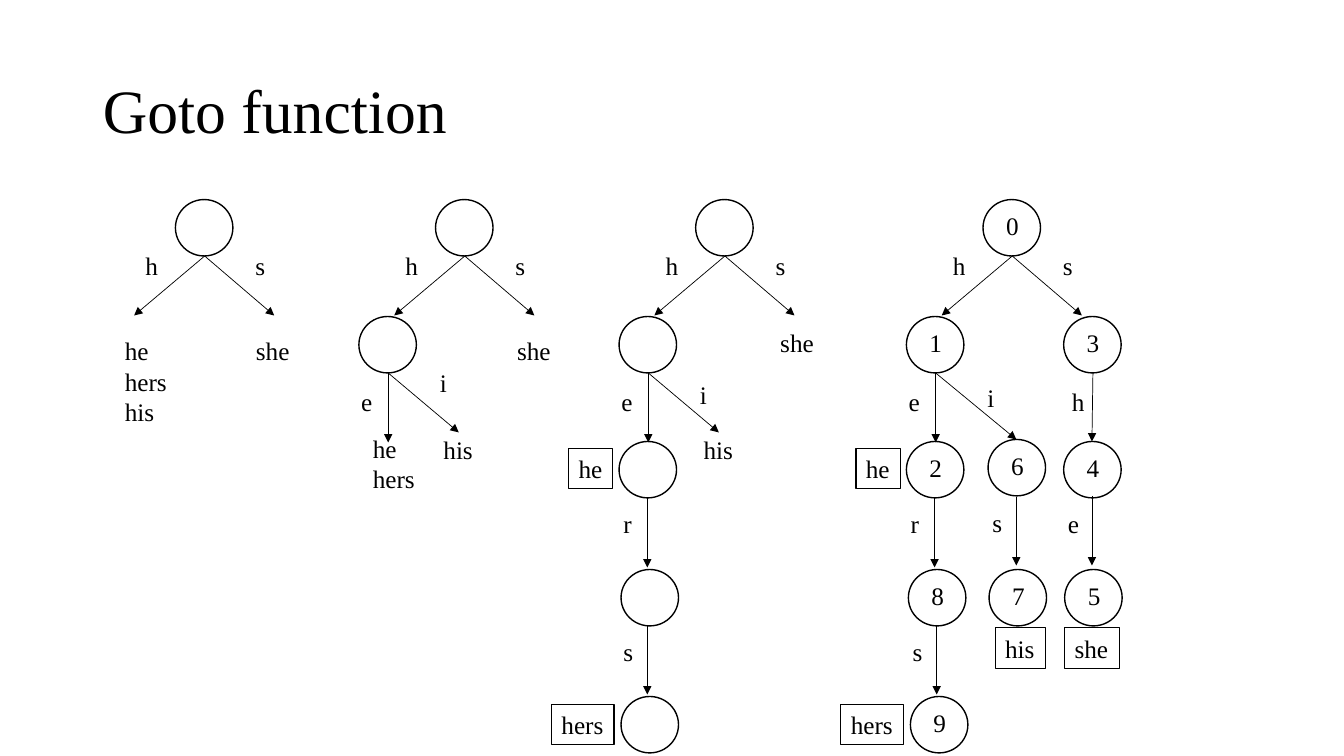
from lxml import etree
from pptx import Presentation
from pptx import util as u
from pptx.dml.color import RGBColor
from pptx.enum import shapes, text
from pptx.oxml.ns import qn

PX = 9144
BLACK = RGBColor(0, 0, 0)
WHITE = RGBColor(255, 255, 255)
FONT = "Times New Roman"


def px(*values):
    return [u.Emu(v * PX) for v in values]


class TrieSlide:
    def __init__(self, prs):
        self.s = prs.slides.add_slide(prs.slide_layouts[5])
        self.s.background.fill.solid()
        self.s.background.fill.fore_color.rgb = WHITE

    def font(self, p, size):
        p.font.name = FONT
        p.font.size = u.Pt(size)
        p.font.color.rgb = BLACK

    def title(self, words):
        sp = self.s.shapes.title
        sp.left, sp.top, sp.width, sp.height = px(92, 40, 1150, 145)
        tf = sp.text_frame
        tf.text = words
        tf.vertical_anchor = text.MSO_ANCHOR.MIDDLE
        p = tf.paragraphs[0]
        p.alignment = text.PP_ALIGN.LEFT
        p.line_spacing = 0.9
        self.font(p, 44)

    def label(self, words, x, y, w=19, h=40, wrap=True):
        sp = self.s.shapes.add_textbox(*px(x, y, w, h))
        tf = sp.text_frame
        tf.text = words
        tf.word_wrap = wrap
        tf.auto_size = text.MSO_AUTO_SIZE.SHAPE_TO_FIT_TEXT
        for p in tf.paragraphs:
            self.font(p, 18)
        return sp

    def output(self, word, x, y, w):
        sp = self.label(word, x, y, w, wrap=False)
        sp.line.color.rgb = BLACK
        sp.line.width = u.Pt(0.75)

    def state(self, x, y, number=""):
        sp = self.s.shapes.add_shape(shapes.MSO_SHAPE.OVAL, *px(x, y, 57, 56))
        sp.shadow.inherit = False
        sp.fill.background()
        sp.line.color.rgb = BLACK
        sp.line.width = u.Pt(1)
        if number:
            self.label(number, x + 13, y + 6, 41)

    def arrow(self, x1, y1, x2, y2):
        c = self.s.shapes.add_connector(
            shapes.MSO_CONNECTOR.STRAIGHT, *px(x1, y1, x2, y2))
        c.line.color.rgb = BLACK
        c.line.width = u.Pt(0.5)
        etree.SubElement(c.line._get_or_add_ln(), qn("a:tailEnd"), type="triangle")
        etree.SubElement(c._element.spPr, qn("a:effectLst"))

    def root(self, x, number=""):
        self.state(x, 198, number)
        for dx in (-41, 98):
            self.arrow(x + 29, 254, x + dx, 313)
        self.label("h", x - 39, 243)
        self.label("s", x + 70, 243)

    def h_branch(self, x, i_top, i_end, number=""):
        self.state(x - 76, 314, number)
        self.arrow(x - 47, 370, x - 47, 439)
        self.arrow(x - 47, 370, *i_end)
        self.label("e", x - 83, 378)
        self.label("i", x - 5, i_top)

    def hers_branch(self, x, shift=0, numbers=("", "", "")):
        he, her, hers = numbers
        self.state(x - 76, 438, he)
        self.output("he", x - 126, 445, 44)
        self.arrow(x - 48, 494, x - 48, 563)
        self.label("r", x - 81, 499)
        self.state(x - 74, 565, her)
        self.arrow(x - 48 + shift, 620, x - 48 + shift, 689)
        self.label("s", x - 81 + shift, 626)
        self.state(x - 74 + shift, 691, hers)
        self.output("hers", x - 143 + shift, 699, 62)


def main():
    prs = Presentation()
    prs.slide_width, prs.slide_height = u.Inches(13.33), u.Inches(7.5)
    trie = TrieSlide(prs)
    trie.title("Goto function")

    first, second, third, last = 174, 432, 690, 975
    for x in (first, second, third):
        trie.root(x)
    trie.root(last, "0")

    trie.label("he\nhers\nhis", 114, 328, 106, 101)
    for x, y in ((244, 328), (503, 328), (764, 320)):
        trie.label("she", x, y, 106)

    trie.h_branch(second, 359, (455, 429))
    trie.h_branch(third, 371, (713, 429))
    trie.h_branch(last, 374, (1008, 436), "1")
    trie.label("he\nhers", 360, 425, 66, 71)
    for x in (second, third):
        trie.label("his", x - 2, 426, 50, wrap=False)

    trie.hers_branch(third)
    trie.hers_branch(last, 2, ("2", "8", "9"))

    trie.state(980, 436, "6")
    trie.arrow(1008, 493, 1008, 561)
    trie.label("s", 975, 498)
    trie.state(981, 565, "7")
    trie.output("his", 987, 623, 50)

    trie.state(1055, 314, "3")
    trie.arrow(1084, 370, 1083, 438)
    trie.label("h", 1054, 378)
    trie.state(1055, 438, "4")
    trie.arrow(1083, 492, 1083, 561)
    trie.label("e", 1050, 499)
    trie.state(1056, 565, "5")
    trie.output("she", 1056, 623, 54)

    prs.save("out.pptx")


if __name__ == "__main__":
    main()
